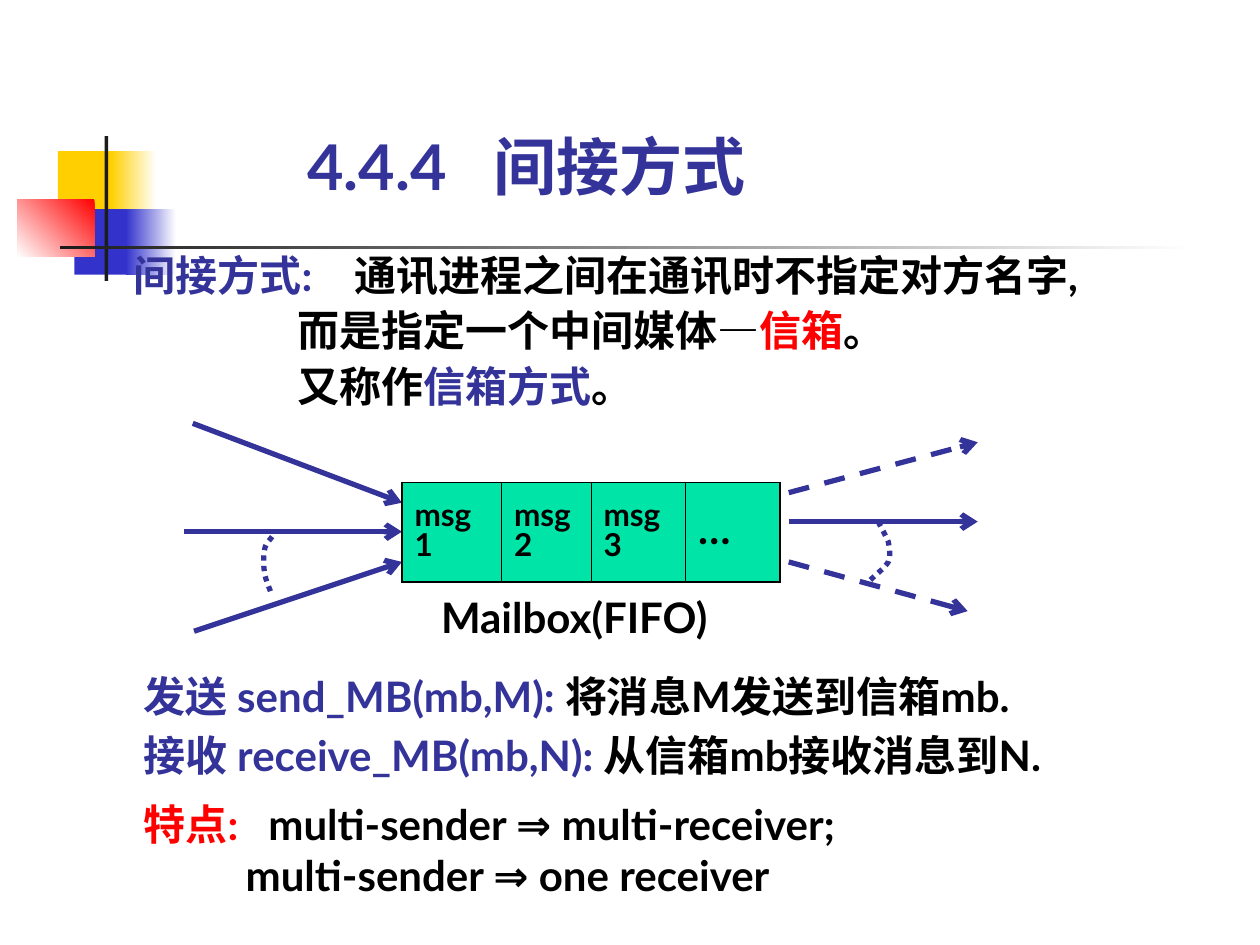
"""Build the slide on indirect (mailbox) communication between processes."""
from dataclasses import dataclass
from typing import Optional

import lxml.etree
import pptx
import pptx.dml.color
import pptx.enum.dml
import pptx.enum.shapes
import pptx.enum.text
import pptx.oxml.ns
import pptx.util

Inches = pptx.util.Inches
Pt = pptx.util.Pt
DASH = pptx.enum.dml.MSO_LINE
FONT = "Lato"
COLORS = {
    "navy": "333399", "black": "000000", "red": "FF0000", "white": "FFFFFF",
    "yellow": "FFCF01", "blue": "3333CC", "ink": "1C1C1C", "green": "00E4A8",
}


@dataclass
class Block:
    left: float
    top: float
    width: float
    height: float
    color: str
    fade_to: Optional[str] = None
    angle: float = 0


@dataclass
class Span:
    text: str
    color: str = "black"


@dataclass
class Para:
    spans: list
    indent: float = 0
    tab: float = 0


@dataclass
class TextBlock:
    left: float
    top: float
    width: float
    height: float
    paras: list
    spacing: float = 1.0


@dataclass
class Arrow:
    start: tuple
    end: tuple
    dashed: bool = False


BLOCKS = [
    Block(0.46, 1.2, 0.48, 0.52, "yellow"),
    Block(0.88, 1.2, 0.36, 0.52, "white", "yellow", 180),
    Block(0.59, 1.66, 0.46, 0.52, "blue"),
    Block(1, 1.66, 0.4, 0.52, "white", "blue", 180),
    Block(0.14, 1.58, 0.61, 0.46, "red", "white", 225),
    Block(0.83, 1.08, 0.03, 1.15, "ink"),
    Block(0.48, 1.95, 9, 0.03, "white", "ink", 180),
]
TITLE = TextBlock(2.44, 1.01, 3.74, 0.6, [Para([Span("4.4.4\t间接方式", "navy")], tab=1.48)])
TEXTS = [
    TextBlock(3.5, 4.77, 2.52, 0.32, [Para([Span("Mailbox(FIFO)")])], 0.8),
    TextBlock(1.14, 5.4, 7.88, 0.32, [
        Para([Span("发送 send_MB(mb,M): ", "navy"), Span("将消息M发送到信箱mb.")])], 0.8),
    TextBlock(1.14, 5.87, 8.19, 0.32, [
        Para([Span("接收 receive_MB(mb,N): ", "navy"), Span("从信箱mb接收消息到N.")])], 0.8),
    TextBlock(1.14, 6.34, 6.3, 0.8, [
        Para([Span("特点:\t", "red"), Span("multi-sender ⇒ multi-receiver;")], tab=0.99),
        Para([Span("multi-sender ⇒ one receiver")], indent=0.81)]),
    TextBlock(1.06, 1.94, 7.72, 1.32, [
        Para([Span("间接方式:\t", "navy"), Span("通讯进程之间在通讯时不指定对方名字,")], tab=1.75),
        Para([Span("而是指定一个中间媒体—"), Span("信箱", "red"), Span("。")], indent=1.3),
        Para([Span("又称作"), Span("信箱方式", "navy"), Span("。")], indent=1.3)], 1.1),
]
ARROWS = [
    Arrow((1.53, 3.36), (3.19, 3.99)),
    Arrow((1.46, 4.22), (3.19, 4.22)),
    Arrow((1.54, 5.01), (3.19, 4.46)),
    Arrow((6.26, 3.91), (7.76, 3.51), True),
    Arrow((6.26, 4.14), (7.76, 4.14)),
    Arrow((6.26, 4.46), (7.68, 4.85), True),
]
ARCS = [
    [(2.16, 4.26), (2.14, 4.29), (2.11, 4.31), (2.1, 4.36), (2.09, 4.41),
     (2.09, 4.48), (2.1, 4.55), (2.11, 4.61), (2.14, 4.67), (2.16, 4.73)],
    [(6.97, 4.14), (7, 4.2), (7.03, 4.25), (7.05, 4.3), (7.06, 4.35),
     (7.07, 4.41), (7.05, 4.46), (7.02, 4.51), (6.95, 4.56), (6.89, 4.62)],
]
MESSAGES = ["msg1", "msg2", "msg3", "…"]
COLUMN_WIDTHS = [0.79, 0.71, 0.75, 0.75]


def rgb(name: str) -> pptx.dml.color.RGBColor:
    """Look up a named colour."""
    return pptx.dml.color.RGBColor.from_string(COLORS[name])


def add_node(parent, tag: str, **attributes: str):
    """Append a DrawingML element to its parent."""
    return lxml.etree.SubElement(parent, pptx.oxml.ns.qn(tag), attributes)


def draw_block(slide, block: Block) -> None:
    """Draw one plain or fading rectangle."""
    shape = slide.shapes.add_shape(
        pptx.enum.shapes.MSO_SHAPE.RECTANGLE,
        *map(Inches, (block.left, block.top, block.width, block.height)))
    shape.shadow.inherit = False
    shape.line.fill.background()
    if block.fade_to is None:
        shape.fill.solid()
        shape.fill.fore_color.rgb = rgb(block.color)
        return
    shape.fill.gradient()
    shape.fill.gradient_angle = block.angle
    for stop, name in zip(shape.fill.gradient_stops, (block.color, block.fade_to)):
        stop.color.rgb = rgb(name)


def style_paragraph(paragraph, size: float, spacing: float) -> None:
    """Set the shared font and line spacing of a paragraph."""
    paragraph.line_spacing = spacing
    paragraph.font.name = FONT
    paragraph.font.size = Pt(size)
    paragraph.font.bold = True


def fill_text(box, block: TextBlock, size: float) -> None:
    """Place a text shape and write its paragraphs."""
    box.left, box.top, box.width, box.height = map(
        Inches, (block.left, block.top, block.width, block.height))
    frame = box.text_frame
    frame.word_wrap = True
    frame.auto_size = pptx.enum.text.MSO_AUTO_SIZE.NONE
    frame.margin_left = frame.margin_right = frame.margin_top = frame.margin_bottom = 0
    for index, para in enumerate(block.paras):
        paragraph = frame.add_paragraph() if index else frame.paragraphs[0]
        paragraph.alignment = pptx.enum.text.PP_ALIGN.LEFT
        properties = paragraph._p.get_or_add_pPr()
        if para.indent:
            properties.set("marL", str(Inches(para.indent)))
            properties.set("indent", "0")
        if para.tab:
            tabs = add_node(properties, "a:tabLst")
            add_node(tabs, "a:tab", pos=str(Inches(para.tab)), algn="l")
        style_paragraph(paragraph, size, block.spacing)
        for span in para.spans:
            run = paragraph.add_run()
            run.text = span.text
            run.font.color.rgb = rgb(span.color)


def style_line(line, dash=None) -> None:
    """Give a line the diagram's colour, width and dash."""
    line.color.rgb = rgb("navy")
    line.width = Pt(3)
    if dash is not None:
        line.dash_style = dash


def draw_arrow(slide, arrow: Arrow) -> None:
    """Draw one message arrow."""
    connector = slide.shapes.add_connector(
        pptx.enum.shapes.MSO_CONNECTOR.STRAIGHT, *map(Inches, arrow.start + arrow.end))
    style_line(connector.line, DASH.DASH if arrow.dashed else None)
    add_node(connector.line._get_or_add_ln(), "a:tailEnd", type="arrow")
    add_node(connector._element.spPr, "a:effectLst")


def draw_arc(slide, knots: list, steps: int = 8) -> None:
    """Draw a dotted arc through a chain of cubic curves."""
    points = []
    for first in range(0, len(knots) - 1, 3):
        for step in range(1, steps + 1):
            t = step / steps
            weights = ((1 - t) ** 3, 3 * t * (1 - t) ** 2, 3 * t * t * (1 - t), t ** 3)
            curve = list(zip(weights, knots[first:first + 4]))
            points.append(tuple(Inches(sum(w * knot[axis] for w, knot in curve))
                                for axis in (0, 1)))
    builder = slide.shapes.build_freeform(*map(Inches, knots[0]))
    builder.add_line_segments(points, close=False)
    arc = builder.convert_to_shape()
    arc.shadow.inherit = False
    arc.fill.background()
    style_line(arc.line, DASH.ROUND_DOT)


def draw_mailbox(slide) -> None:
    """Draw the mailbox queue as a one-row table."""
    table = slide.shapes.add_table(
        1, len(MESSAGES), *map(Inches, (3.19, 3.83, sum(COLUMN_WIDTHS), 0.79))).table
    table.first_row = table.horz_banding = False
    last = len(MESSAGES) - 1
    for index, (message, width) in enumerate(zip(MESSAGES, COLUMN_WIDTHS)):
        table.columns[index].width = Inches(width)
        cell = table.cell(0, index)
        cell.text = message
        cell.vertical_anchor = pptx.enum.text.MSO_ANCHOR.MIDDLE
        style_paragraph(cell.text_frame.paragraphs[0], 24 if index == last else 18, 0.8)
        cell.text_frame.paragraphs[0].font.color.rgb = rgb("black")
        outer = {"a:lnL": index == 0, "a:lnR": index == last, "a:lnT": True, "a:lnB": True}
        for tag, thick in outer.items():
            border = add_node(cell._tc.get_or_add_tcPr(), tag, w=str(Pt(1.08 if thick else 0.45)))
            add_node(add_node(border, "a:solidFill"), "a:srgbClr", val=COLORS["black"])
        cell.fill.solid()
        cell.fill.fore_color.rgb = rgb("green")


def main() -> None:
    """Build and save the deck."""
    deck = pptx.Presentation()
    deck.slide_width, deck.slide_height = Inches(10), Inches(7.5)
    slide = deck.slides.add_slide(deck.slide_layouts[5])
    for block in BLOCKS:
        draw_block(slide, block)
    fill_text(slide.shapes.title, TITLE, 36)
    slide.shapes.title.text_frame.vertical_anchor = pptx.enum.text.MSO_ANCHOR.BOTTOM
    for text in TEXTS:
        fill_text(slide.shapes.add_textbox(0, 0, 0, 0), text, 24)
    for arrow in ARROWS:
        draw_arrow(slide, arrow)
    for knots in ARCS:
        draw_arc(slide, knots)
    draw_mailbox(slide)
    deck.save("out.pptx")


if __name__ == "__main__":
    main()
